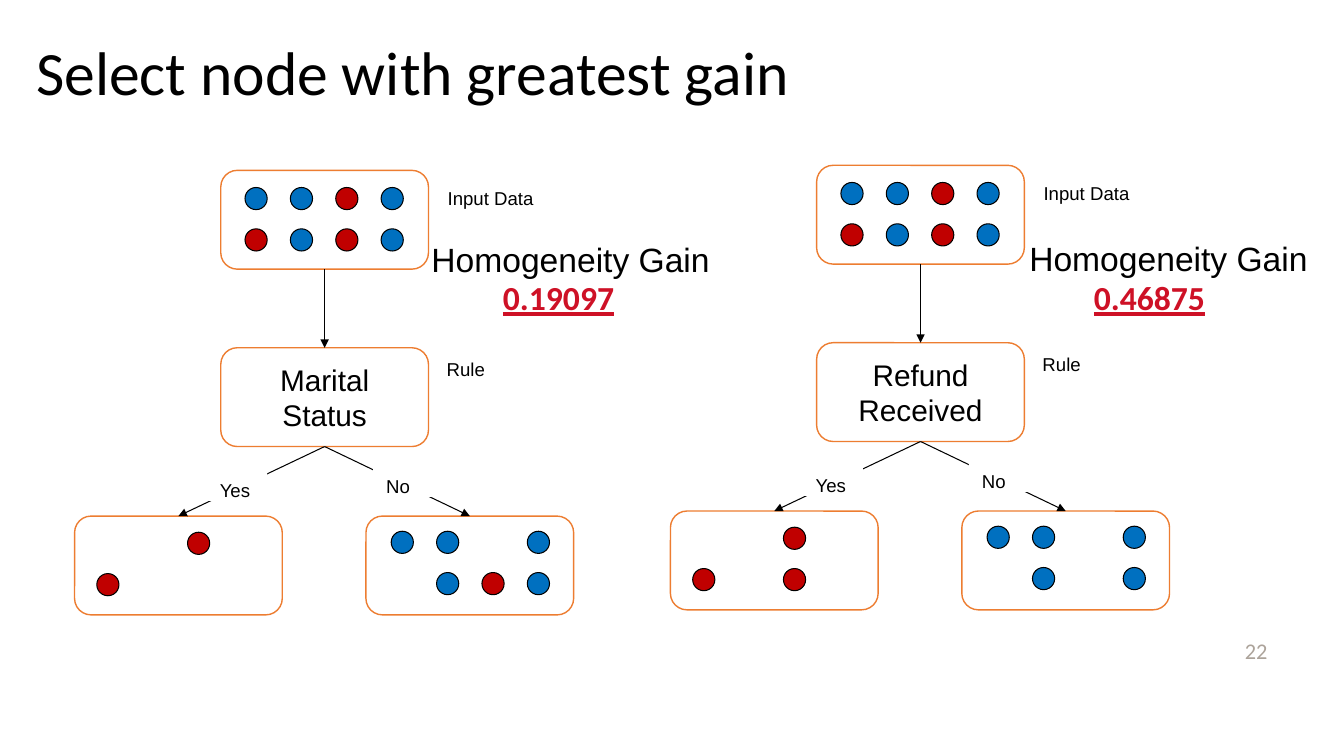
from dataclasses import dataclass

from lxml import etree
from pptx import Presentation
from pptx.dml.color import RGBColor
from pptx.enum import shapes, text
from pptx.oxml import ns
from pptx.shapes.autoshape import Shape
from pptx.shapes.connector import Connector
from pptx.slide import Slide
from pptx.util import Inches, Pt

COLORS = {
    "black": "000000",
    "white": "FFFFFF",
    "orange": "ED7D31",
    "blue": "0070C0",
    "red": "C00000",
    "score": "CE1126",
    "gray": "ACA39A",
}
DOT_COLORS = {"B": "blue", "R": "red"}
BOX_WIDTH, BOX_HEIGHT = 2.06, 0.98
DOT_SIZE, DOT_STEP_X, DOT_STEP_Y = 0.22, 0.45, 0.41


@dataclass
class Style:
    size: float
    font: str = "Arial"
    color: str = "black"
    strong: bool = False
    align: text.PP_ALIGN = text.PP_ALIGN.LEFT
    anchor: text.MSO_ANCHOR = text.MSO_ANCHOR.TOP


@dataclass
class Node:
    left: float
    top: float
    dots: tuple[str, ...] = ()
    inset: tuple[float, float] = (0.24, 0.17)


@dataclass
class Label:
    caption: str
    left: float
    top: float
    width: float


@dataclass
class Tree:
    left: float
    top: float
    rule: str
    yes_dots: tuple[str, ...]
    no_dots: tuple[str, ...]
    gain: str
    gain_left: float
    heading_left: float
    heading_top: float


TITLE = Style(44, "Calibri", anchor=text.MSO_ANCHOR.MIDDLE)
NUMBER = Style(16, "Calibri", "gray", align=text.PP_ALIGN.RIGHT, anchor=text.MSO_ANCHOR.MIDDLE)
RULE = Style(21.3, align=text.PP_ALIGN.CENTER, anchor=text.MSO_ANCHOR.MIDDLE)
LABEL = Style(13.3)
HEADING = Style(24)
GAIN = Style(24, "Calibri", "score", strong=True)

INPUT_DOTS = ("BBRB", "RBRB")
LABELS = [
    Label("Yes", 1.31, 3.04, 0.6),
    Label("No", 2.96, 3.0, 0.6),
    Label("Input Data", 3.57, 0.14, 1.67),
    Label("Rule", 3.56, 1.84, 1.67),
]
TREES = [
    Tree(6.65, 1.59, "Refund Received", ("..R.", "R.R."), ("BB.B", ".B.B"),
         "0.46875", 10.75, 10.11, 2.31),
    Tree(0.74, 1.64, "Marital Status", ("..R.", "R..."), ("BB.B", ".BRB"),
         "0.19097", 4.89, 4.18, 2.32),
]


def color(name: str) -> RGBColor:
    return RGBColor.from_string(COLORS[name])


def write(box: Shape, caption: str, style: Style) -> None:
    frame = box.text_frame
    frame.text = caption
    frame.word_wrap = True
    frame.vertical_anchor = style.anchor
    para = frame.paragraphs[0]
    para.alignment = style.align
    font = para.runs[0].font
    font.name = style.font
    font.size = Pt(style.size)
    font.color.rgb = color(style.color)
    if style.strong:
        font.bold = font.underline = True


def add_text(page: Slide, caption: str, style: Style, left: float, top: float,
             width: float, height: float) -> Shape:
    box = page.shapes.add_textbox(Inches(left), Inches(top), Inches(width), Inches(height))
    write(box, caption, style)
    return box


def add_outline(page: Slide, kind: shapes.MSO_SHAPE, left: float, top: float, width: float,
                height: float, fill: str, line: str = "", weight: float = 1) -> Shape:
    box = page.shapes.add_shape(kind, Inches(left), Inches(top), Inches(width), Inches(height))
    box.shadow.inherit = False
    box.fill.solid()
    box.fill.fore_color.rgb = color(fill)
    if line:
        box.line.color.rgb = color(line)
        box.line.width = Pt(weight)
    else:
        box.line.fill.background()
    frame = box.text_frame
    frame.margin_left = frame.margin_right = Inches(0.13)
    frame.margin_top = frame.margin_bottom = Inches(0.07)
    return box


def add_node(page: Slide, node: Node) -> Shape:
    box = add_outline(page, shapes.MSO_SHAPE.ROUNDED_RECTANGLE, node.left, node.top,
                      BOX_WIDTH, BOX_HEIGHT, "white", "orange")
    for row, marks in enumerate(node.dots):
        for column, mark in enumerate(marks):
            if mark in DOT_COLORS:
                add_outline(page, shapes.MSO_SHAPE.OVAL,
                            node.left + node.inset[0] + column * DOT_STEP_X,
                            node.top + node.inset[1] + row * DOT_STEP_Y,
                            DOT_SIZE, DOT_SIZE, DOT_COLORS[mark], "black", 0.75)
    return box


def add_arrow(page: Slide, parent: Shape, child: Shape) -> Connector:
    arrow = page.shapes.add_connector(shapes.MSO_CONNECTOR.STRAIGHT, 0, 0, 0, 0)
    arrow.begin_connect(parent, 2)
    arrow.end_connect(child, 0)
    arrow.line.color.rgb = color("black")
    arrow.line.width = Pt(0.75)
    etree.SubElement(arrow.line._get_or_add_ln(), ns.qn("a:tailEnd"), type="triangle")
    etree.SubElement(arrow._element.spPr, ns.qn("a:effectLst"))
    return arrow


def add_tree(page: Slide, tree: Tree) -> None:
    middle = tree.left + 1.45
    leaf_top = tree.top + 3.48
    rule = add_node(page, Node(middle, tree.top + 1.81))
    write(rule, tree.rule, RULE)
    yes = add_node(page, Node(tree.left, leaf_top, tree.yes_dots, (0.22, 0.16)))
    no = add_node(page, Node(tree.left + 2.89, leaf_top, tree.no_dots, (0.25, 0.15)))
    source = add_node(page, Node(middle, tree.top + 0.05, INPUT_DOTS))
    for parent, child in ((rule, yes), (rule, no), (source, rule)):
        add_arrow(page, parent, child)
    for label in LABELS:
        box = add_outline(page, shapes.MSO_SHAPE.RECTANGLE, tree.left + label.left,
                          tree.top + label.top, label.width, 0.29, "white")
        write(box, label.caption, LABEL)
    add_text(page, tree.gain, GAIN, tree.gain_left, 2.7, 1.85, 0.5)
    add_text(page, "Homogeneity Gain", HEADING, tree.heading_left, tree.heading_top, 3.61, 0.5)


def main() -> None:
    deck = Presentation()
    deck.slide_width, deck.slide_height = Inches(13.33), Inches(7.5)
    page = deck.slides.add_slide(deck.slide_layouts[6])
    title = add_text(page, "Select node with greatest gain", TITLE, 0.26, 0.12, 13.08, 1.25)
    title.text_frame.paragraphs[0].line_spacing = 0.9
    add_text(page, "22", NUMBER, 9.56, 6.25, 3.11, 0.4)
    for tree in TREES:
        add_tree(page, tree)
    deck.save("out.pptx")


if __name__ == "__main__":
    main()
